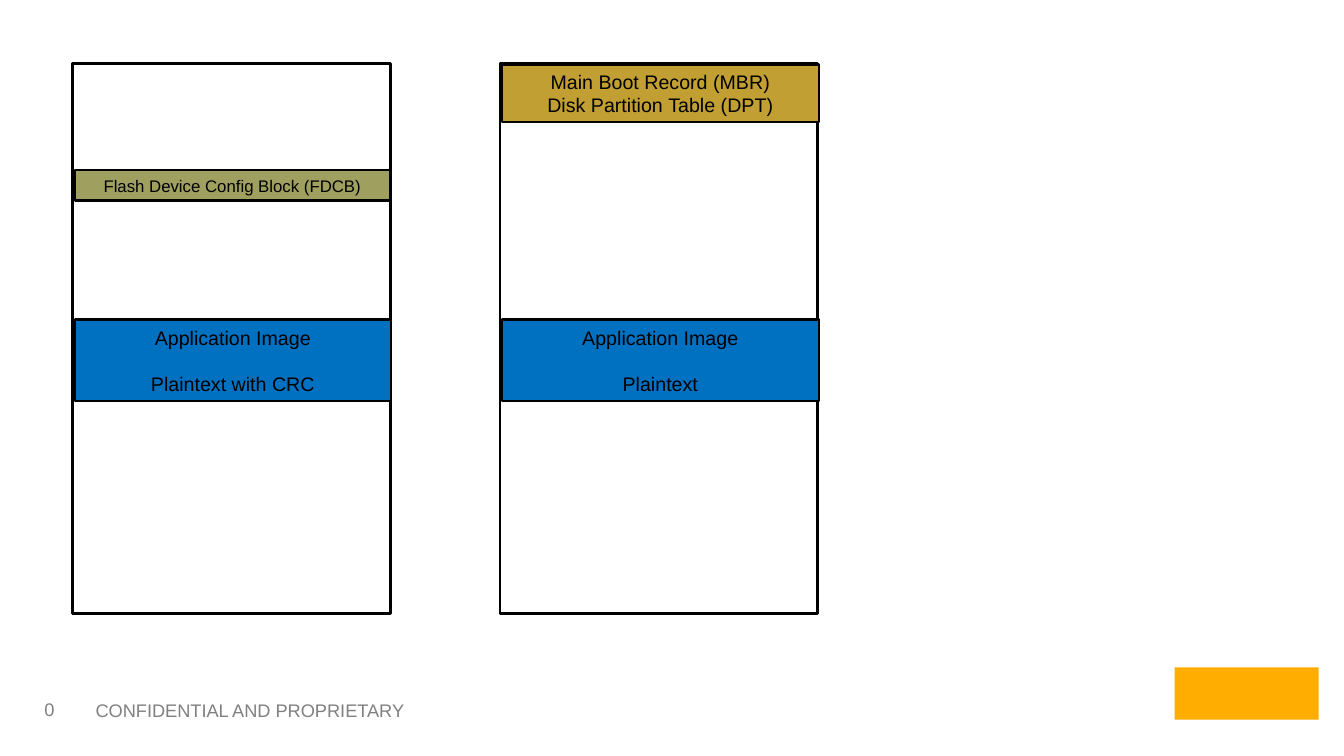
from pptx import Presentation
from pptx.dml.color import RGBColor
from pptx.enum.shapes import MSO_SHAPE as Shape
from pptx.enum.text import MSO_ANCHOR as Anchor, PP_ALIGN as Align
from pptx.util import Inches, Pt

BLACK, GREY, BLUE, OLIVE, GOLD = "000000", "808080", "0070C0", "9F9F5F", "C19F32"
LINE_GAP = 16


def write(shape, lines, size, color, align, gap=0):
    """Write one paragraph per line, with a gap in points between them."""
    frame = shape.text_frame
    frame.word_wrap = True
    for index, line in enumerate(lines):
        para = frame.add_paragraph() if index else frame.paragraphs[0]
        para.alignment = align
        para.space_before = Pt(gap if index else 0)
        span = para.add_run()
        span.text = line
        look = {"name": "Arial", "size": Pt(size)}
        for key, value in look.items():
            setattr(span.font, key, value)
        span.font.color.rgb = RGBColor.from_string(color)


def add_box(left, top, width, height, fill=None, line=None, weight=1.5):
    """Add a flat rectangle; without a colour, its fill or line is left off."""
    box = page.shapes.add_shape(
        Shape.RECTANGLE, Inches(left), Inches(top), Inches(width), Inches(height))
    box.shadow.inherit = False
    for part, color in ((box.fill, fill), (box.line.fill, line)):
        if color:
            part.solid()
            part.fore_color.rgb = RGBColor.from_string(color)
        else:
            part.background()
    if line:
        box.line.width = Pt(weight)
    return box


deck = Presentation()
deck.slide_width, deck.slide_height = Inches(13.33), Inches(7.5)
page = deck.slides.add_slide(deck.slide_layouts[6])

# Footer: confidentiality mark, page number and a plain brand block
for text, left, width, height, inset, anchor in [
    ("CONFIDENTIAL AND PROPRIETARY", 0.85, 3.98, 0.34, 0.1, Anchor.TOP),
    ("0", 0.37, 0.65, 0.3, 0.07, Anchor.MIDDLE),
]:
    footer = page.shapes.add_textbox(
        Inches(left), Inches(6.89), Inches(width), Inches(height))
    footer.text_frame.margin_left = Inches(inset)
    footer.text_frame.vertical_anchor = anchor
    write(footer, [text], 13, GREY, Align.LEFT)
add_box(11.65, 6.62, 1.43, 0.52, fill="FFAD00")

# Memory maps: left edge, then blocks as (top, width, height, fill, size, gap, lines)
app_image = (3.17, 3.14, 0.81, BLUE, 14, LINE_GAP)
memory_maps = [
    (0.72, [
        (*app_image, ["Application Image", "Plaintext with CRC"]),
        (1.69, 3.13, 0.3, OLIVE, 12, 0, ["Flash Device Config Block (FDCB)"]),
    ]),
    (4.96, [
        (*app_image, ["Application Image", "Plaintext"]),
        (0.64, 3.14, 0.57, GOLD, 14, 0,
         ["Main\u00a0Boot\u00a0Record (MBR)", "Disk\u00a0Partition\u00a0Table (DPT)"]),
    ]),
]
for left, blocks in memory_maps:
    add_box(left, 0.63, 3.15, 5.46, line=BLACK, weight=2)
    for top, width, height, fill, size, gap, lines in blocks:
        block = add_box(left + 0.02, top, width, height, fill, BLACK)
        block.text_frame.vertical_anchor = Anchor.MIDDLE
        write(block, lines, size, BLACK, Align.CENTER, gap)

deck.save("out.pptx")
